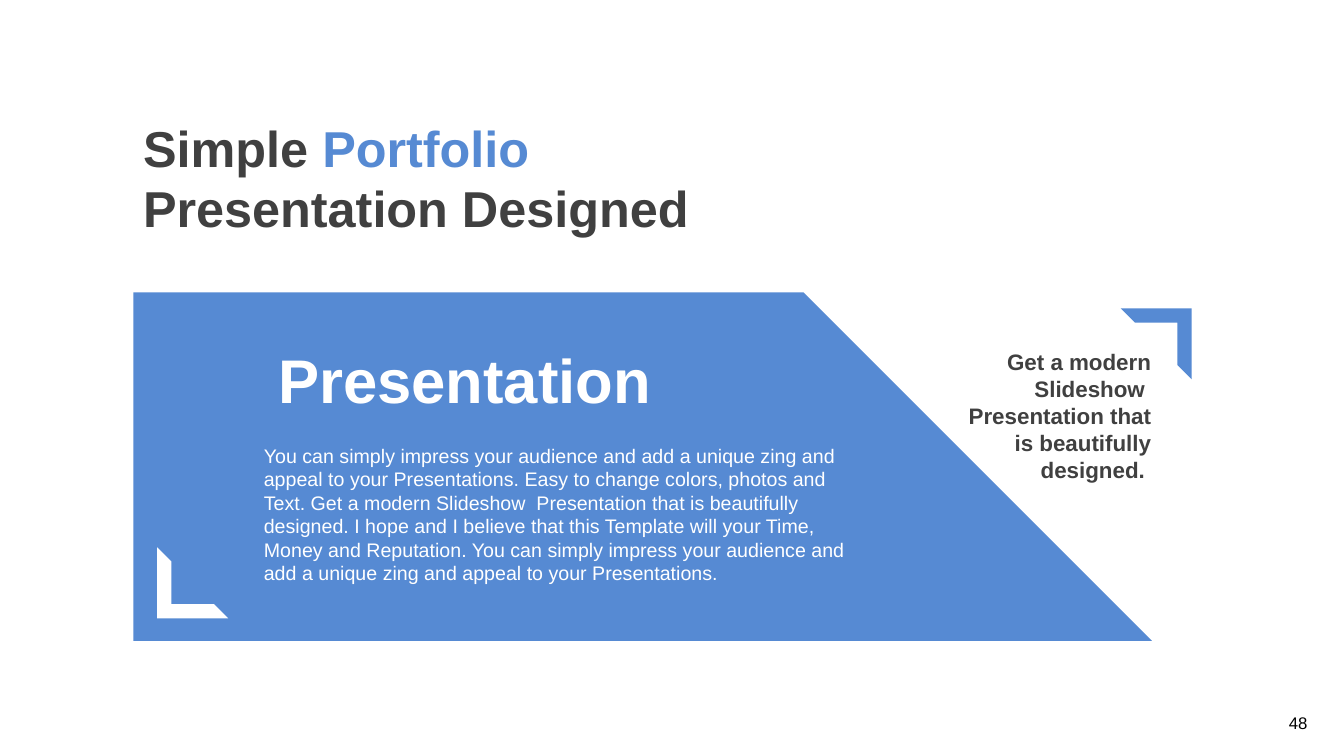
import pptx
import pptx.dml.color
import pptx.enum.shapes
import pptx.enum.text
import pptx.util
from pptx.util import Cm

FONT = "Arial"
COLORS = {"blue": "568AD3", "dark": "404040", "white": "FFFFFF", "black": "000000"}
ALIGN = pptx.enum.text.PP_ALIGN
ANCHOR = pptx.enum.text.MSO_ANCHOR
DESCRIPTION = (
    "You can simply impress your audience and add a unique zing and appeal to your "
    "Presentations. Easy to change colors, photos and Text. Get a modern Slideshow  "
    "Presentation that is beautifully designed. I hope and I believe that this Template "
    "will your Time, Money and Reputation. You can simply impress your audience and add "
    "a unique zing and appeal to your Presentations."
)
CALLOUT = "Get a modern Slideshow  Presentation that is beautifully designed. "


def rgb(color):
    return pptx.dml.color.RGBColor.from_string(COLORS[color])


def paint(shape, color):
    shape.shadow.inherit = False
    shape.fill.solid()
    shape.fill.fore_color.rgb = rgb(color)
    shape.line.fill.background()


def format_paragraph(paragraph, size, bold, align):
    paragraph.alignment = align
    paragraph.font.name = FONT
    paragraph.font.size = pptx.util.Pt(size)
    paragraph.font.bold = bold


def add_title(slide, parts):
    """Fill the title placeholder with (text, color) parts."""
    title = slide.shapes.title
    title.left, title.top, title.width, title.height = Cm(3.35), Cm(2.54), Cm(15.11), Cm(3.86)
    frame = title.text_frame
    frame.auto_size = pptx.enum.text.MSO_AUTO_SIZE.NONE
    frame.vertical_anchor = ANCHOR.MIDDLE
    paragraph = frame.paragraphs[0]
    format_paragraph(paragraph, 36, True, ALIGN.LEFT)
    for text, color in parts:
        run = paragraph.add_run()
        run.text = text
        run.font.color.rgb = rgb(color)


def add_text(slide, box, text, size, color, bold=False, align=ALIGN.LEFT,
             anchor=ANCHOR.TOP, side_margin=0.25, wrap=True):
    frame = slide.shapes.add_textbox(*map(Cm, box)).text_frame
    frame.word_wrap = wrap
    frame.vertical_anchor = anchor
    frame.margin_left = frame.margin_right = Cm(side_margin)
    paragraph = frame.paragraphs[0]
    paragraph.text = text
    format_paragraph(paragraph, size, bold, align)
    paragraph.font.color.rgb = rgb(color)


def add_slanted_panel(slide, left, top, right, bottom, color):
    """Draw a panel whose right edge runs down at 45 degrees to its lower corner."""
    shoulder = right - (bottom - top)
    outline = slide.shapes.build_freeform(Cm(left), Cm(top))
    corners = [(shoulder, top), (right, bottom), (left, bottom)]
    outline.add_line_segments([(Cm(x), Cm(y)) for x, y in corners], close=True)
    paint(outline.convert_to_shape(), color)


def add_corner_bracket(slide, left, top, rotation, color):
    side = Cm(1.79)
    bracket = slide.shapes.add_shape(
        pptx.enum.shapes.MSO_SHAPE.HALF_FRAME, Cm(left), Cm(top), side, side)
    bracket.adjustments[0] = bracket.adjustments[1] = 0.2
    bracket.rotation = rotation
    paint(bracket, color)


def main():
    deck = pptx.Presentation()
    deck.slide_width, deck.slide_height = Cm(33.87), Cm(19.05)
    slide = deck.slides.add_slide(deck.slide_layouts.get_by_name("Title Only"))

    add_slanted_panel(slide, 3.36, 7.37, 29.03, 16.15, "blue")
    add_title(slide, [("Simple ", "dark"), ("Portfolio ", "blue"),
                      ("Presentation Designed", "dark")])
    add_text(slide, (23.9, 8.66, 5.36, 3.68), CALLOUT, 16, "dark",
             bold=True, align=ALIGN.RIGHT)
    add_text(slide, (6.4, 11.05, 15.67, 3.84), DESCRIPTION, 14, "white")
    add_text(slide, (6.4, 8.48, 13.16, 2.11), "Presentation", 44, "white",
             bold=True, anchor=ANCHOR.MIDDLE, side_margin=0.61)
    add_corner_bracket(slide, 3.96, 13.79, 270, "white")
    add_corner_bracket(slide, 28.24, 7.77, 90, "blue")
    add_text(slide, (32.23, 17.83, 1.04, 0.76), "48", 12, "black", wrap=False)

    deck.save("out.pptx")


if __name__ == "__main__":
    main()
